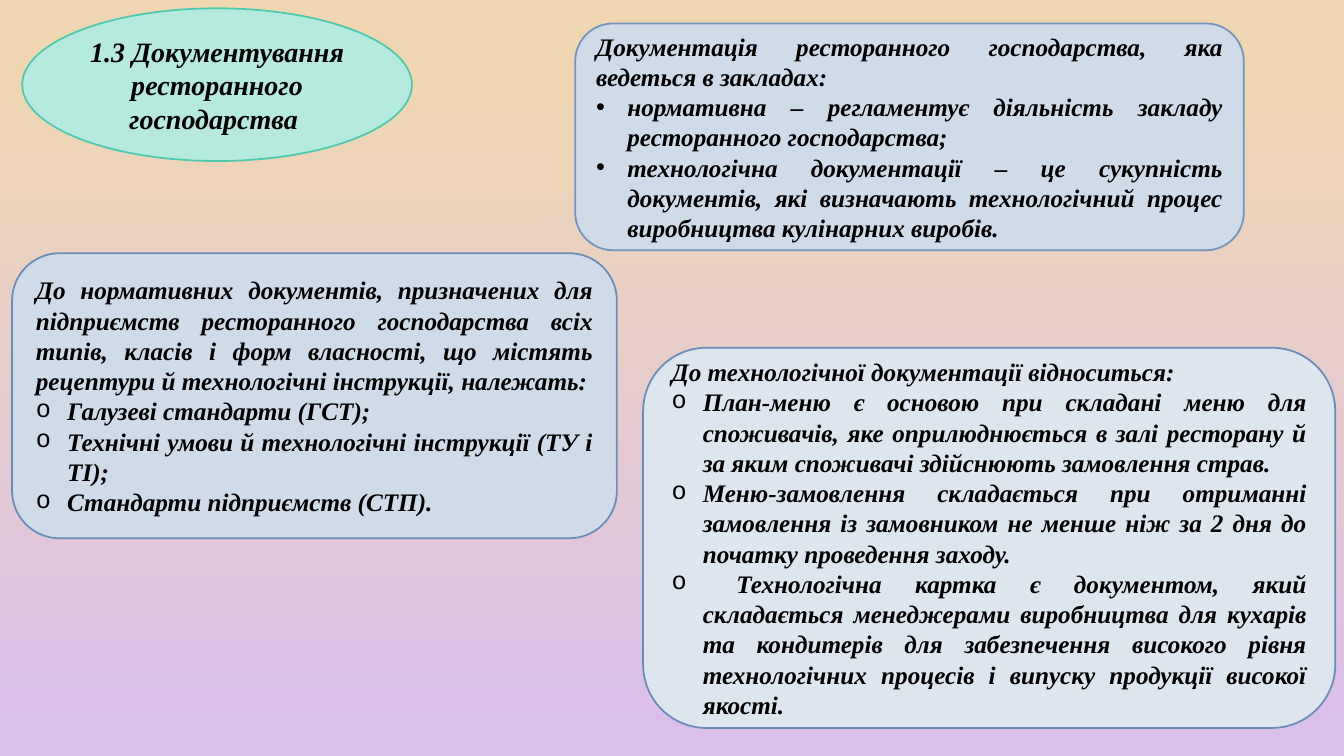
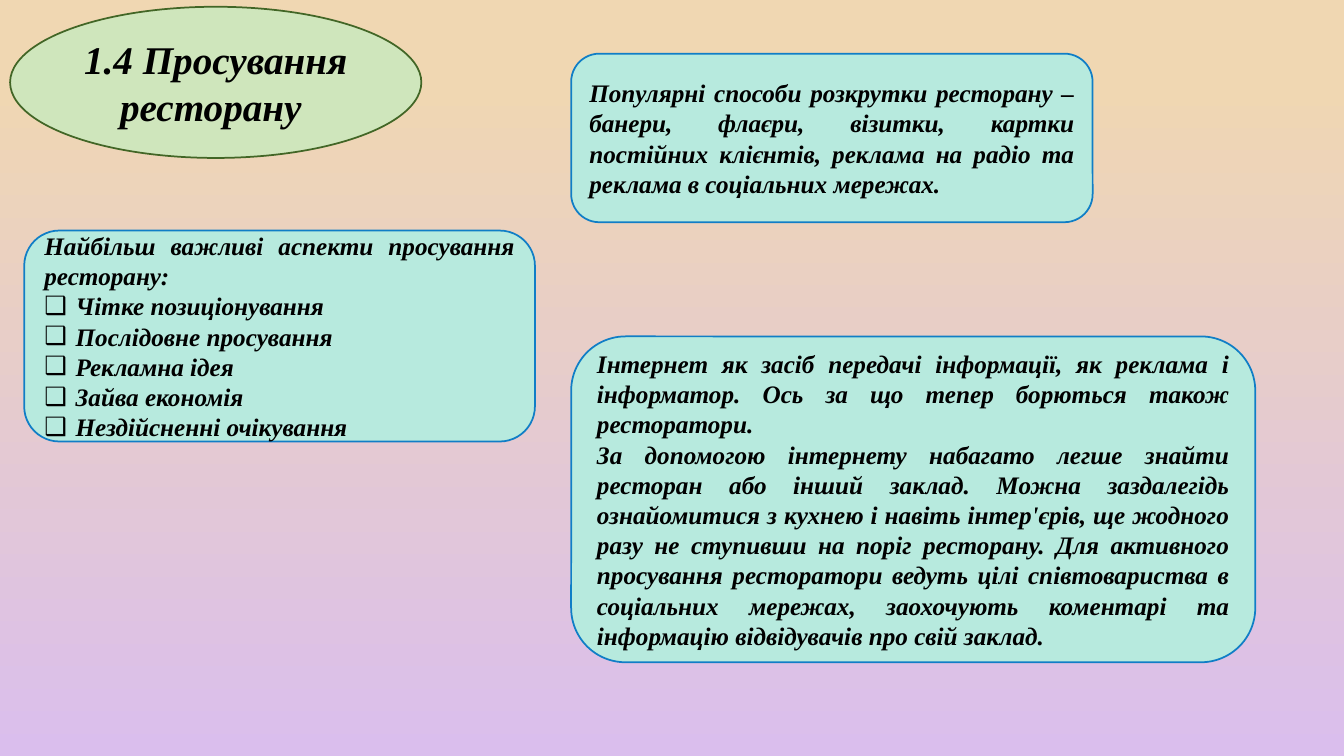
import lxml.etree
import pptx
import pptx.dml.color
import pptx.enum.shapes
import pptx.enum.text
import pptx.oxml.ns
import pptx.util

SHAPES = pptx.enum.shapes.MSO_SHAPE
ALIGN = pptx.enum.text.PP_ALIGN
FONT = "Times New Roman"
INK = "000000"
MINT, SAGE = "B7EADE", "CFE6BC"
MIST, PALE_MIST = "D0DBE9", "DDE5EF"
TEAL, FOREST, AZURE = "4BCAAD", "426626", "107EC6"
STEEL, LIGHT_STEEL = "698CB8", "7294BD"
BACKDROP = [(0.11, "F0D7B2"), (1.0, "DABEED")]
BULLET_FONTS = {"•": "Arial", "o": "Courier New", "❑": "Arial"}
HANG = pptx.util.Inches(0.31)


def color(value):
    return pptx.dml.color.RGBColor.from_string(value)


def make_deck():
    deck = pptx.Presentation()
    deck.slide_width = pptx.util.Inches(13.333)
    deck.slide_height = pptx.util.Inches(7.5)
    # Vertical gradient shared by every slide
    fill = deck.slide_master.background.fill
    fill.gradient()
    fill.gradient_angle = 270
    for stop, (position, shade) in zip(fill.gradient_stops, BACKDROP):
        stop.position = position
        stop.color.rgb = color(shade)
    return deck


def add_page(deck):
    return deck.slides.add_slide(deck.slide_layouts[6])


def place(deck, box):
    """Turn percentages of the slide's size into lengths."""
    sides = (deck.slide_width, deck.slide_height) * 2
    return [round(side * share / 100) for side, share in zip(sides, box)]


def set_bullet(para, mark):
    settings = para._p.get_or_add_pPr()
    settings.set("marL", str(HANG))
    settings.set("indent", str(-HANG))
    for tag, name, value in (("a:buFont", "typeface", BULLET_FONTS[mark]),
                             ("a:buChar", "char", mark)):
        lxml.etree.SubElement(settings, pptx.oxml.ns.qn(tag)).set(name, value)


def write_text(para, text, size=18, align=ALIGN.JUSTIFY, bullet=None):
    para.alignment = align
    if bullet:
        set_bullet(para, bullet)
    span = para.add_run()
    span.text = text
    span.font.name = FONT
    span.font.size = pptx.util.Pt(size)
    span.font.bold = span.font.italic = True
    span.font.color.rgb = color(INK)


def add_panel(deck, page, kind, box, fill, line):
    panel = page.shapes.add_shape(kind, *place(deck, box))
    panel.shadow.inherit = False
    panel.fill.solid()
    panel.fill.fore_color.rgb = color(fill)
    panel.line.color.rgb = color(line)
    panel.line.width = pptx.util.Pt(1.25)
    frame = panel.text_frame
    frame.word_wrap = True
    frame.vertical_anchor = pptx.enum.text.MSO_ANCHOR.MIDDLE
    return frame


def add_title(deck, page, box, text, size, fill, line):
    frame = add_panel(deck, page, SHAPES.OVAL, box, fill, line)
    write_text(frame.paragraphs[0], text, size=size, align=ALIGN.CENTER)


def add_card(deck, page, box, paragraphs, fill, line, items=(), bullet=None):
    frame = add_panel(deck, page, SHAPES.ROUNDED_RECTANGLE, box, fill, line)
    entries = [(text, None) for text in paragraphs] + [(text, bullet) for text in items]
    for index, (text, mark) in enumerate(entries):
        para = frame.add_paragraph() if index else frame.paragraphs[0]
        write_text(para, text, bullet=mark)


def build_documentation(deck):
    page = add_page(deck)
    add_title(deck, page, (1.65, 1.1, 29, 20.2),
              "1.3 Документування ресторанного господарства ", 20, MINT, TEAL)
    # Kinds of documentation
    add_card(deck, page, (42.8, 3.1, 49.75, 30),
             ["Документація ресторанного господарства, яка ведеться в закладах: "],
             MIST, LIGHT_STEEL, bullet="•", items=[
                 "нормативна – регламентує діяльність закладу ресторанного господарства; ",
                 "технологічна документації – це сукупність документів, які визначають "
                 "технологічний процес виробництва кулінарних виробів."])
    # Normative documents
    add_card(deck, page, (0.9, 33.5, 45, 37.7),
             ["До нормативних документів, призначених для підприємств ресторанного "
              "господарства всіх типів, класів і форм власності, що містять рецептури "
              "й технологічні інструкції, належать:"],
             MIST, STEEL, bullet="o", items=[
                 "Галузеві стандарти (ГСТ); ",
                 "Технічні умови й технологічні інструкції (ТУ і ТІ); ",
                 "Стандарти підприємств (СТП)."])
    # Technological documents
    add_card(deck, page, (47.85, 46, 51.5, 50.3),
             ["До технологічної документації відноситься: "],
             PALE_MIST, STEEL, bullet="o", items=[
                 "План-меню є основою при складані меню для споживачів, яке оприлюднюється "
                 "в залі ресторану й за яким споживачі здійснюють замовлення страв.",
                 "Меню-замовлення складається при отриманні замовлення із замовником "
                 "не менше ніж за 2 дня до початку проведення заходу.",
                 " Технологічна картка є документом, який складається менеджерами "
                 "виробництва для кухарів та кондитерів для забезпечення високого рівня "
                 "технологічних процесів і випуску продукції високої якості."])


def build_promotion(deck):
    page = add_page(deck)
    add_title(deck, page, (0.75, 0.9, 30.6, 20),
              "1.4 Просування ресторану ", 28, SAGE, FOREST)
    # Popular channels
    add_card(deck, page, (42.5, 7.1, 38.8, 22.3),
             ["Популярні способи розкрутки ресторану – банери, флаєри, візитки, картки "
              "постійних клієнтів, реклама на радіо та реклама в соціальних мережах."],
             MINT, AZURE)
    # Key aspects
    add_card(deck, page, (1.8, 30.5, 38, 27.9),
             ["Найбільш важливі аспекти просування ресторану:"],
             MINT, AZURE, bullet="❑", items=[
                 "Чітке позиціонування", "Послідовне просування", "Рекламна ідея",
                 "Зайва економія", "Нездійсненні очікування"])
    # Internet promotion
    add_card(deck, page, (42.5, 44.5, 50.9, 43.1),
             ["Інтернет як засіб передачі інформації, як реклама і інформатор. Ось за що "
              "тепер борються також ресторатори. ",
              "За допомогою інтернету набагато легше знайти ресторан або інший заклад. "
              "Можна заздалегідь ознайомитися з кухнею і навіть інтер'єрів, ще жодного "
              "разу не ступивши на поріг ресторану. Для активного просування ресторатори "
              "ведуть цілі співтовариства в соціальних мережах, заохочують коментарі та "
              "інформацію відвідувачів про свій заклад."],
             MINT, AZURE)


def main():
    deck = make_deck()
    build_documentation(deck)
    build_promotion(deck)
    deck.save("out.pptx")


if __name__ == "__main__":
    main()
